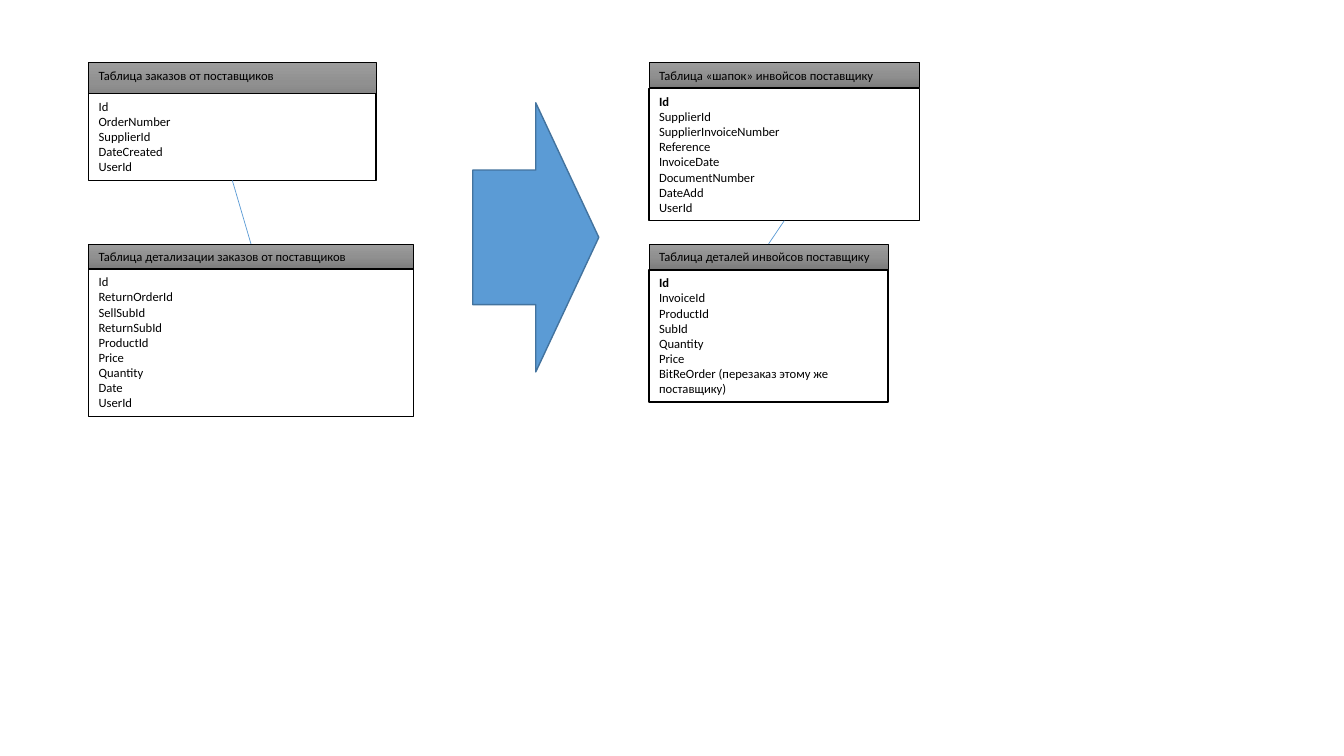
from copy import deepcopy
from pptx import Presentation
from pptx.dml.color import RGBColor
from pptx.enum.shapes import MSO_CONNECTOR as Connector, MSO_SHAPE as Shape
from pptx.enum.text import MSO_ANCHOR as Anchor, MSO_AUTO_SIZE as AutoSize, PP_ALIGN as Align
from pptx.oxml.ns import qn
from pptx.oxml.xmlchemy import OxmlElement
from pptx.util import Inches, Pt

# Grid: ten cells to the inch
CELL = Inches(0.1)
COLUMNS, ROWS = 133.33, 75
LEFT_COLUMN, RIGHT_COLUMN = 8.8, 64.4
TOP_ROW, BOTTOM_ROW = 6.2, 24.2
LINE_ROWS, PADDING_ROWS = 1.5, 1.1

# Each entity: column, row, width, header height, body row, text lines, title, bold key, fields
ENTITIES = [
    (LEFT_COLUMN, TOP_ROW, 28.5, 4, 9.3, 5, "Таблица заказов от поставщиков", False,
     ["Id", "OrderNumber", "SupplierId", "DateCreated", "UserId"]),
    (LEFT_COLUMN, BOTTOM_ROW, 32.2, 2.5, 26.7, 9,
     "Таблица детализации заказов от поставщиков", False,
     ["Id", "ReturnOrderId", "SellSubId", "ReturnSubId", "ProductId", "Price",
      "Quantity", "Date", "UserId"]),
    (RIGHT_COLUMN, TOP_ROW, 26.8, 2.5, 8.8, 8, "Таблица «шапок» инвойсов поставщику", True,
     ["Id", "SupplierId", "SupplierInvoiceNumber", "Reference", "InvoiceDate",
      "DocumentNumber", "DateAdd", "UserId"]),
    (RIGHT_COLUMN, BOTTOM_ROW, 23.7, 2.5, 26.8, 8, "Таблица деталей инвойсов поставщику", True,
     ["Id", "InvoiceId", "ProductId", "SubId", "Quantity", "Price",
      "BitReOrder (перезаказ этому же поставщику)"]),
]
LINKS = [(0, 1), (2, 3)]
ARROW = (46.9, 10.2, 12.5, 26.7)

HEADER_STOPS = [(0, "9D9D9D"), (0.5, "909090"), (1, "7C7C7C")]
BLACK, WHITE, BLUE, DARK_BLUE = "000000", "FFFFFF", "5B9BD5", "43739E"
FRAME_FORMAT = {"word_wrap": True, "auto_size": AutoSize.SHAPE_TO_FIT_TEXT,
                "vertical_anchor": Anchor.TOP}
FONT_FORMAT = {"name": "Calibri", "size": Pt(9)}


def color(hex_value):
    return RGBColor.from_string(hex_value)


def cells(*values):
    return [round(value * CELL) for value in values]


def apply_format(target, values):
    for name, value in values.items():
        setattr(target, name, value)


def set_line(line, hex_value, points):
    line.color.rgb = color(hex_value)
    line.width = Pt(points)


def fill_gradient(shape):
    shape.fill.gradient()
    shape.fill.gradient_angle = 270
    stop_list = shape.fill.gradient_stops
    stops = shape.element.spPr.find(".//" + qn("a:gsLst"))
    stops.insert(1, deepcopy(stops[0]))
    stop_list = shape.fill.gradient_stops
    for stop, (position, hex_value) in zip(stop_list, HEADER_STOPS):
        stop.position = position
        stop.color.rgb = color(hex_value)


def add_block(slide, kind, place, fill, line_color, line_points):
    shape = slide.shapes.add_shape(kind, *cells(*place))
    shape.shadow.inherit = False
    if fill is None:
        fill_gradient(shape)
    else:
        shape.fill.solid()
        shape.fill.fore_color.rgb = color(fill)
    set_line(shape.line, line_color, line_points)
    return shape


def write_lines(shape, lines, bold_first=False):
    frame = shape.text_frame
    apply_format(frame, FRAME_FORMAT)
    for index, text in enumerate(lines):
        paragraph = frame.paragraphs[0] if index == 0 else frame.add_paragraph()
        paragraph.alignment = Align.LEFT
        run = paragraph.add_run()
        run.text = text
        apply_format(run.font, {**FONT_FORMAT, "bold": bold_first and index == 0})
        run.font.color.rgb = color(BLACK)


def add_entity(slide, entity):
    column, row, width, header_rows, body_row, line_count, title, bold_key, fields = entity
    header = add_block(slide, Shape.RECTANGLE, (column, row, width, header_rows),
                       None, BLACK, 0.5)
    write_lines(header, [title])
    body_rows = PADDING_ROWS + LINE_ROWS * line_count
    body = add_block(slide, Shape.RECTANGLE, (column, body_row, width, body_rows),
                     WHITE, BLACK, 1)
    write_lines(body, fields, bold_key)
    return header, body


def add_link(slide, body, header):
    link = slide.shapes.add_connector(Connector.STRAIGHT, 0, 0, 0, 0)
    link.begin_connect(body, 2)
    link.end_connect(header, 0)
    set_line(link.line, BLUE, 0.5)
    link.element.spPr.append(OxmlElement("a:effectLst"))


def main():
    presentation = Presentation()
    presentation.slide_width, presentation.slide_height = cells(COLUMNS, ROWS)
    slide = presentation.slides.add_slide(presentation.slide_layouts[6])

    # Entity tables
    blocks = [add_entity(slide, entity) for entity in ENTITIES]

    # Arrow from orders to invoices
    add_block(slide, Shape.RIGHT_ARROW, ARROW, BLUE, DARK_BLUE, 1)

    # Links from each master table to its details
    for master, detail in LINKS:
        add_link(slide, blocks[master][1], blocks[detail][0])

    presentation.save("out.pptx")


if __name__ == "__main__":
    main()
